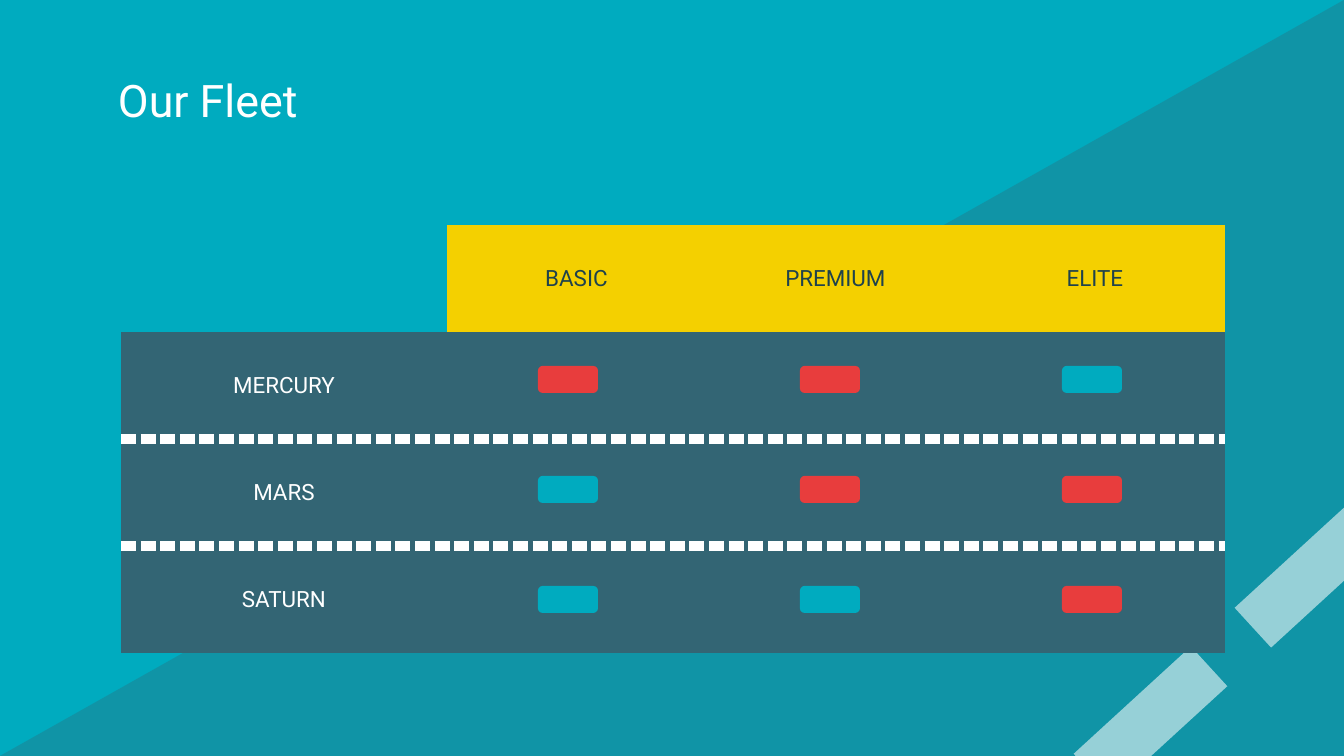
import pptx
import pptx.util
from pptx.dml.color import RGBColor
from pptx.enum.shapes import MSO_SHAPE
from pptx.enum.text import MSO_ANCHOR, PP_ALIGN
from pptx.oxml import parse_xml
from pptx.oxml.ns import nsdecls, qn

EMU_PER_PX = 914400 / 134.4
SLIDE_W, SLIDE_H = 1344, 756

TEAL = RGBColor(0x00, 0xAB, 0xBF)
SLATE = RGBColor(0x33, 0x65, 0x74)
NAVY = RGBColor(0x1F, 0x42, 0x4C)
YELLOW = RGBColor(0xF4, 0xD0, 0x00)
RED = RGBColor(0xE8, 0x3D, 0x3D)
WHITE = RGBColor(0xFF, 0xFF, 0xFF)
FONT = "Roboto"

TITLE = "Our Fleet"
PLANS = ["BASIC", "PREMIUM", "ELITE"]
FLEET = [
    ("MERCURY", [RED, RED, TEAL]),
    ("MARS", [TEAL, RED, RED]),
    ("SATURN", [TEAL, TEAL, RED]),
]
ROAD_STRIPES = [(1071, 693), (1232, 547)]

TABLE_LEFT, TABLE_TOP = 121, 225
COLUMN_WIDTHS = [326, 259, 259, 260]
ROW_HEIGHT = 107
MARKER_LEFT, MARKER_TOP = 538, 366
MARKER_STEP_X, MARKER_STEP_Y = 262, 110

HEADER_MARGINS = {"margin_left": 13, "margin_right": 13, "margin_top": 13, "margin_bottom": 13}
LABEL_MARGINS = {"margin_left": 10, "margin_right": 10, "margin_top": 8, "margin_bottom": 8}


def px(length):
    return pptx.util.Emu(round(length * EMU_PER_PX))


def set_all(target, values):
    for name, value in values.items():
        setattr(target, name, value)


def set_margins(target, margins):
    set_all(target, {side: px(length) for side, length in margins.items()})


def write(frame, text, size, color):
    paragraph = frame.paragraphs[0]
    run = paragraph.add_run()
    run.text = text
    set_all(run.font, {"name": FONT, "size": pptx.util.Pt(size)})
    run.font.color.rgb = color
    return paragraph


def add_block(slide, preset, left, top, width, height, color, opacity=100):
    block = slide.shapes.add_shape(preset, px(left), px(top), px(width), px(height))
    block.shadow.inherit = False
    block.line.fill.background()
    block.fill.solid()
    block.fill.fore_color.rgb = color
    if opacity < 100:
        tint = block.fill._xPr.find(qn("a:solidFill"))[0]
        tint.append(parse_xml(f'<a:alpha {nsdecls("a")} val="{opacity * 1000}"/>'))
    return block


def set_borders(cell, dashed_sides):
    """Dash the given sides ("T", "B") in white and clear the others."""
    properties = cell._tc.get_or_add_tcPr()
    for side in "LRTB":
        if side in dashed_sides:
            width = pptx.util.Pt(6)
            look = f'<a:solidFill><a:srgbClr val="{WHITE}"/></a:solidFill><a:prstDash val="dash"/>'
        else:
            width, look = 0, "<a:noFill/>"
        properties.append(parse_xml(
            f'<a:ln{side} {nsdecls("a")} w="{width}">{look}</a:ln{side}>'))


def add_backdrop(slide):
    slide.background.fill.solid()
    slide.background.fill.fore_color.rgb = TEAL
    hill = add_block(slide, MSO_SHAPE.RIGHT_TRIANGLE, 0, 0, SLIDE_W, SLIDE_H, SLATE, 32)
    hill._element.spPr.find(qn("a:xfrm")).set("flipH", "1")
    for left, top in ROAD_STRIPES:
        stripe = add_block(slide, MSO_SHAPE.RECTANGLE, left, top, 159, 54, WHITE, 56)
        stripe.rotation = 317.5


def add_title(slide):
    title = slide.shapes.add_textbox(px(105), px(58), px(1134), px(84)).text_frame
    set_all(title, {"word_wrap": True, "vertical_anchor": MSO_ANCHOR.MIDDLE})
    set_margins(title, HEADER_MARGINS)
    write(title, TITLE, 24, WHITE)


def add_fleet_table(slide):
    rows = [["", *PLANS]] + [[ship] + [""] * len(PLANS) for ship, _ in FLEET]
    table = slide.shapes.add_table(
        len(rows), len(COLUMN_WIDTHS), px(TABLE_LEFT), px(TABLE_TOP),
        px(sum(COLUMN_WIDTHS)), px(ROW_HEIGHT * len(rows))).table
    set_all(table, {"first_row": False, "horz_banding": False})
    for column, width in zip(table.columns, COLUMN_WIDTHS):
        column.width = px(width)
    for r, texts in enumerate(rows):
        table.rows[r].height = px(ROW_HEIGHT)
        dashed_sides = ("T" if r > 1 else "") + ("B" if 0 < r < len(rows) - 1 else "")
        for c, text in enumerate(texts):
            cell = table.cell(r, c)
            set_borders(cell, dashed_sides)
            if r == 0 and c == 0:
                cell.fill.background()
            else:
                cell.fill.solid()
                cell.fill.fore_color.rgb = SLATE if r else YELLOW
            if text:
                cell.vertical_anchor = MSO_ANCHOR.MIDDLE
                set_margins(cell, LABEL_MARGINS if r else HEADER_MARGINS)
                label = write(cell.text_frame, text, 12, WHITE if r else NAVY)
                label.alignment = PP_ALIGN.CENTER


def add_markers(slide):
    for r, (_, colors) in enumerate(FLEET):
        for c, color in enumerate(colors):
            marker = add_block(
                slide, MSO_SHAPE.ROUNDED_RECTANGLE, MARKER_LEFT + c * MARKER_STEP_X,
                MARKER_TOP + r * MARKER_STEP_Y, 60, 27, color)
            marker.adjustments[0] = 0.17


def main():
    deck = pptx.Presentation()
    set_all(deck, {"slide_width": px(SLIDE_W), "slide_height": px(SLIDE_H)})
    slide = deck.slides.add_slide(deck.slide_layouts[6])
    add_backdrop(slide)
    add_title(slide)
    add_fleet_table(slide)
    add_markers(slide)
    deck.save("out.pptx")


if __name__ == "__main__":
    main()
